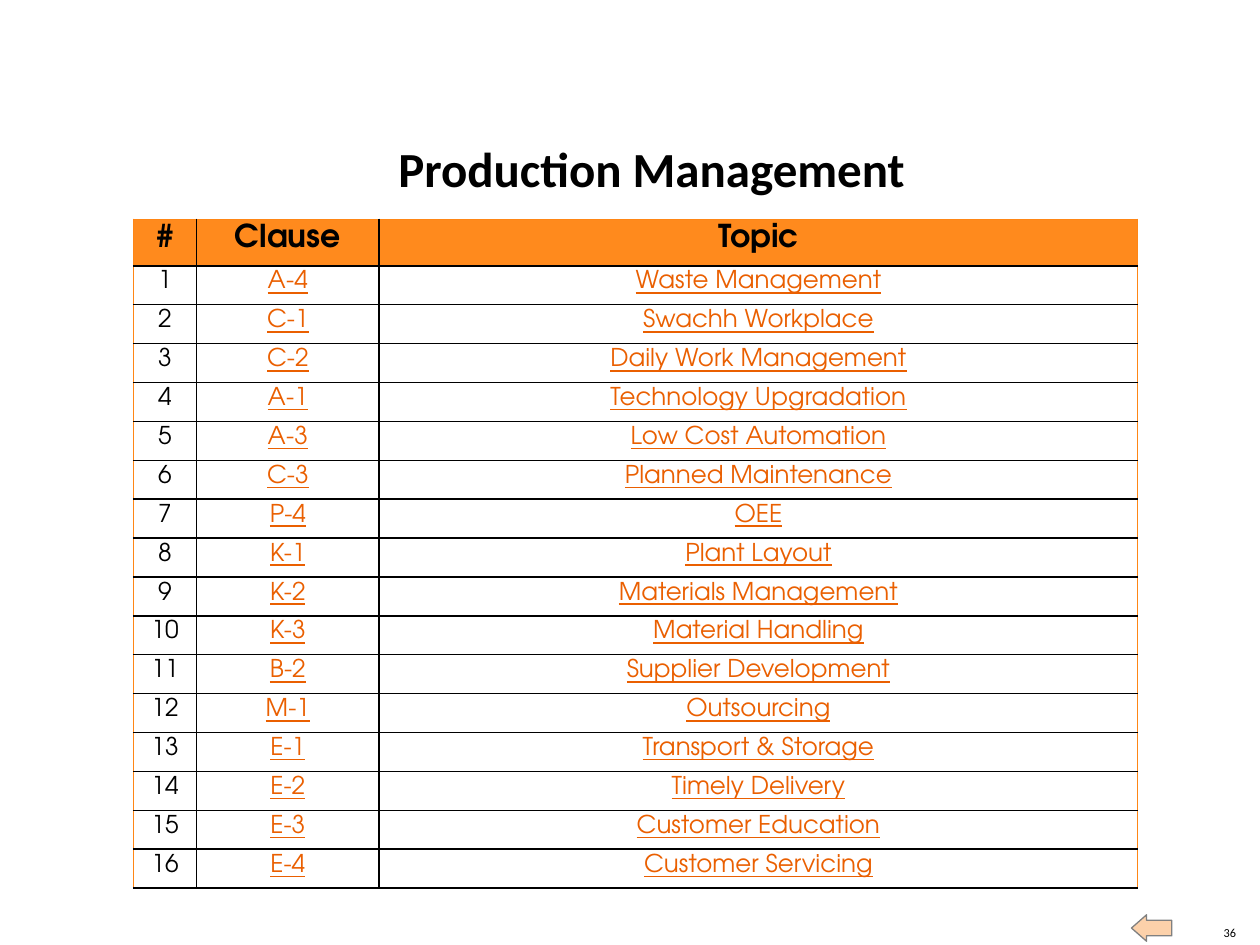
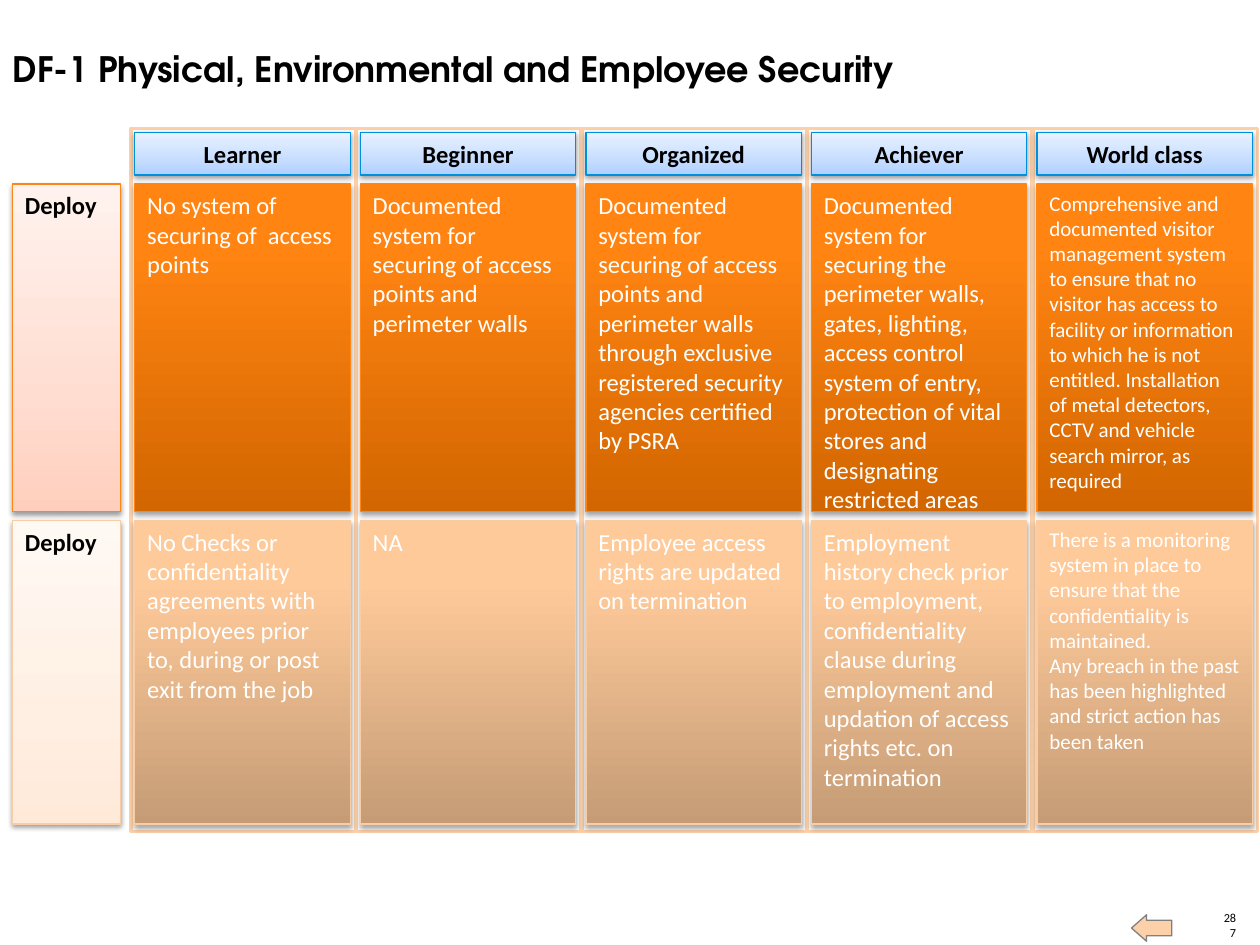
from dataclasses import dataclass

from lxml import etree
from pptx import Presentation
from pptx.dml.color import RGBColor
from pptx.enum.shapes import MSO_SHAPE
from pptx.enum.text import MSO_ANCHOR, MSO_AUTO_SIZE, PP_ALIGN
from pptx.oxml.ns import qn
from pptx.util import Inches, Pt

RECT, ARROW = MSO_SHAPE.RECTANGLE, MSO_SHAPE.RIGHT_ARROW
LEFT, CENTER, RIGHT = PP_ALIGN.LEFT, PP_ALIGN.CENTER, PP_ALIGN.RIGHT
TOP, MIDDLE, BOTTOM = MSO_ANCHOR.TOP, MSO_ANCHOR.MIDDLE, MSO_ANCHOR.BOTTOM
NO_FIT = MSO_AUTO_SIZE.NONE

SLIDE_W, SLIDE_H = 10, 7.5
BODY_FONT, HEAD_FONT = "Calibri", "TeX Gyre Adventor"
BLACK, WHITE, ORANGE, PEACH = "000000", "FFFFFF", "FF8615", "FCD1AA"
LINK, HEADER_FILL, GREY = "EA5F00", "FF8A1D", "808080"


@dataclass(frozen=True)
class Box:
    x: float
    y: float
    w: float
    h: float

    def emu(self) -> tuple:
        return tuple(Inches(v) for v in (self.x, self.y, self.w, self.h))


@dataclass(frozen=True)
class Type:
    size: float
    color: str = BLACK
    bold: bool = False
    font: str = BODY_FONT
    underline: bool = False


@dataclass(frozen=True)
class Look:
    stops: tuple
    line: str
    alpha: int = 38
    drop: float = 1.6


@dataclass(frozen=True)
class Band:
    y: float
    h: float
    look: Look
    texts: tuple
    label_look: Look | None = None


HEADING = Look(((0, "AECFFF"), (35, "C6DDFF"), (100, "E9F2FF")), "008FDC")
STRONG = Look(((0, "D26600"), (80, "FF8412"), (100, "FF8514")), ORANGE, 35, 1.8)
SOFT = Look(((0, "C59C76"), (80, "FFCA9A"), (100, "FFCB9C")), "F8CCA4", 35, 1.8)
STRONG_LABEL = Look(((0, "FFCFBD"), (35, "FFDDD1"), (100, "FFF2EE")), ORANGE)
SOFT_LABEL = Look(((0, "FFE9D8"), (35, "FFEFE3"), (100, "FFF9F4")), "F8CCA4")

TOPICS = (
    ("A-4", "Waste Management"),
    ("C-1", "Swachh Workplace"),
    ("C-2", "Daily Work Management"),
    ("A-1", "Technology Upgradation"),
    ("A-3", "Low Cost Automation"),
    ("C-3", "Planned Maintenance"),
    ("P-4", "OEE"),
    ("K-1", "Plant Layout"),
    ("K-2", "Materials Management"),
    ("K-3", "Material Handling"),
    ("B-2", "Supplier Development"),
    ("M-1", "Outsourcing"),
    ("E-1", "Transport & Storage"),
    ("E-2", "Timely Delivery"),
    ("E-3", "Customer Education"),
    ("E-4", "Customer Servicing"),
)
TABLE = Box(1.06, 1.74, 7.97, 5.31)
TABLE_COLS, HEADER_H = (0.5, 1.45, 6.02), 0.37

LEVEL_X, LEVEL_STEP, LEVEL_W, LEVEL_PAD = 1.04, 1.79, 1.78, 0.03
CELL_W = 1.71
BANDS = (
    Band(1.05, 0.34, HEADING,
         ("Learner", "Beginner", "Organized", "Achiever", "World class")),
    Band(1.46, 2.6, STRONG, (
        "No system of securing of  access points",
        "Documented system for securing of access points and perimeter walls",
        "Documented system for securing of access points and perimeter walls "
        "through exclusive  registered security agencies certified by PSRA",
        "Documented system for securing the perimeter walls, gates, lighting, "
        "access control system of entry, protection of vital stores and "
        "designating restricted areas",
        "Comprehensive and documented visitor management system to ensure that "
        "no visitor has access to facility or information to which he is not "
        "entitled. Installation of metal detectors, CCTV and vehicle search "
        "mirror, as required",
    ), STRONG_LABEL),
    Band(4.13, 2.41, SOFT, (
        "No Checks or confidentiality agreements with employees prior to, "
        "during or post exit from the job",
        "NA",
        "Employee access rights are updated on termination",
        "Employment history check prior to employment,  confidentiality clause "
        "during employment and updation of access rights etc. on termination",
        "There is a monitoring system in place to ensure that the "
        "confidentiality is maintained.\nAny breach in the past has been "
        "highlighted and strict action has been taken",
    ), SOFT_LABEL),
)


def rgb(code: str) -> RGBColor:
    return RGBColor.from_string(code)


def solid(fill, color: str) -> None:
    fill.solid()
    fill.fore_color.rgb = rgb(color)


def child(parent, tag: str, **attrs):
    return etree.SubElement(parent, qn(tag), {k: str(v) for k, v in attrs.items()})


def write(tf, text: str, style: Type, align=LEFT) -> None:
    for i, line in enumerate(text.split("\n")):
        p = tf.add_paragraph() if i else tf.paragraphs[0]
        p.alignment = align
        r = p.add_run()
        r.text = line
        f = r.font
        f.name, f.size, f.bold = style.font, Pt(style.size), style.bold
        f.underline = style.underline
        f.color.rgb = rgb(style.color)


def frame(tf, anchor, inset: tuple = (0.1, 0.05)) -> None:
    tf.auto_size, tf.word_wrap, tf.vertical_anchor = NO_FIT, True, anchor
    tf.margin_left = tf.margin_right = Inches(inset[0])
    tf.margin_top = tf.margin_bottom = Inches(inset[1])


def add_shape(s, kind, box: Box, fill: str, line: str, width: float):
    sp = s.shapes.add_shape(kind, *box.emu())
    solid(sp.fill, fill)
    sp.line.color.rgb = rgb(line)
    sp.line.width = Pt(width)
    sp.shadow.inherit = False
    return sp


def add_card(s, box: Box, look: Look, text: str, style: Type,
             align=LEFT, anchor=TOP) -> None:
    sp = add_shape(s, RECT, box, WHITE, look.line, 0.75)
    sp.fill.gradient()
    sp.fill.gradient_angle = 90
    stops = sp._element.spPr.find(qn("a:gradFill")).find(qn("a:gsLst"))
    for gs in list(stops):
        stops.remove(gs)
    for pos, color in look.stops:
        child(child(stops, "a:gs", pos=pos * 1000), "a:srgbClr", val=color)
    effects = sp._element.spPr.find(qn("a:effectLst"))
    shade = child(effects, "a:outerShdw", blurRad=Pt(3.1), dist=Pt(look.drop),
                  dir=5400000, rotWithShape=0)
    child(child(shade, "a:srgbClr", val=BLACK), "a:alpha", val=look.alpha * 1000)
    frame(sp.text_frame, anchor)
    write(sp.text_frame, text, style, align)


def set_title(s, box: Box, text: str, style: Type, align, anchor, inset: tuple) -> None:
    sp = s.shapes.title
    sp.left, sp.top, sp.width, sp.height = box.emu()
    frame(sp.text_frame, anchor, inset)
    write(sp.text_frame, text, style, align)


def new_slide(prs, number: str):
    s = prs.slides.add_slide(prs.slide_layouts[5])
    solid(s.background.fill, WHITE)
    tb = s.shapes.add_textbox(*Box(9.69, 7.34, 0.12, 0.12).emu())
    frame(tb.text_frame, BOTTOM, (0, 0))
    write(tb.text_frame, number, Type(7), RIGHT)
    arrow = add_shape(s, ARROW, Box(8.98, 7.26, 0.32, 0.21), PEACH, GREY, 0.75)
    arrow.rotation = 180
    arrow.adjustments[0], arrow.adjustments[1] = 0.59, 0.57
    return s


def border(cell, side: str, color: str, width: float) -> None:
    ln = child(cell._tc.get_or_add_tcPr(), f"a:ln{side}", w=Pt(width))
    child(child(ln, "a:solidFill"), "a:srgbClr", val=color)


def topic_slide(prs) -> None:
    s = new_slide(prs, "36")
    set_title(s, Box(2.09, 1.1, 6.16, 0.47), "Production Management",
              Type(28, bold=True), CENTER, BOTTOM, (0, 0))
    rows = [("#", "Clause", "Topic")]
    rows += [(str(n), *topic) for n, topic in enumerate(TOPICS, 1)]
    table = s.shapes.add_table(len(rows), len(TABLE_COLS), *TABLE.emu()).table
    for col, width in zip(table.columns, TABLE_COLS):
        col.width = Inches(width)
    last = len(TABLE_COLS) - 1
    head = Type(18, bold=True, font=HEAD_FONT)
    plain = Type(14, font=HEAD_FONT)
    link = Type(14, LINK, font=HEAD_FONT, underline=True)
    for i, texts in enumerate(rows):
        height = (TABLE.h - HEADER_H) / len(TOPICS) if i else HEADER_H
        table.rows[i].height = Inches(height)
        for j, text in enumerate(texts):
            cell = table.cell(i, j)
            cell.margin_left = cell.margin_right = Inches(0.07)
            cell.margin_top = cell.margin_bottom = Inches(0.04)
            outer = {"L": j == 0, "R": j == last, "T": i == 0, "B": False}
            for side, edge in outer.items():
                border(cell, side, *((ORANGE, 0.75) if edge else (BLACK, 1)))
            solid(cell.fill, WHITE if i else HEADER_FILL)
            style = head if i == 0 else link if j else plain
            write(cell.text_frame, text, style, CENTER)


def security_slide(prs) -> None:
    s = new_slide(prs, "287")
    set_title(s, Box(0, 0.33, 8.6, 0.44),
              "DF-1 Physical, Environmental and Employee Security",
              Type(20, bold=True, font=HEAD_FONT), LEFT, TOP, (0.1, 0.05))
    label = Type(14, bold=True)
    for band in BANDS:
        if band.label_look:
            add_card(s, Box(0.1, band.y, 0.86, band.h), band.label_look,
                     "Deploy", label)
    columns = [LEVEL_X + i * LEVEL_STEP for i in range(len(BANDS[0].texts))]
    for x in columns:
        add_shape(s, RECT, Box(x, 1.02, LEVEL_W, 5.58), WHITE, PEACH, 2)
    for band in BANDS:
        for x, text in zip(columns, band.texts):
            box = Box(x + LEVEL_PAD, band.y, CELL_W, band.h)
            if band.look is HEADING:
                add_card(s, box, band.look, text, label, CENTER, MIDDLE)
            else:
                size = 12 if x == columns[-1] else 14
                add_card(s, box, band.look, text, Type(size, WHITE))


def main() -> None:
    prs = Presentation()
    prs.slide_width, prs.slide_height = Inches(SLIDE_W), Inches(SLIDE_H)
    topic_slide(prs)
    security_slide(prs)
    prs.save("out.pptx")


if __name__ == "__main__":
    main()
